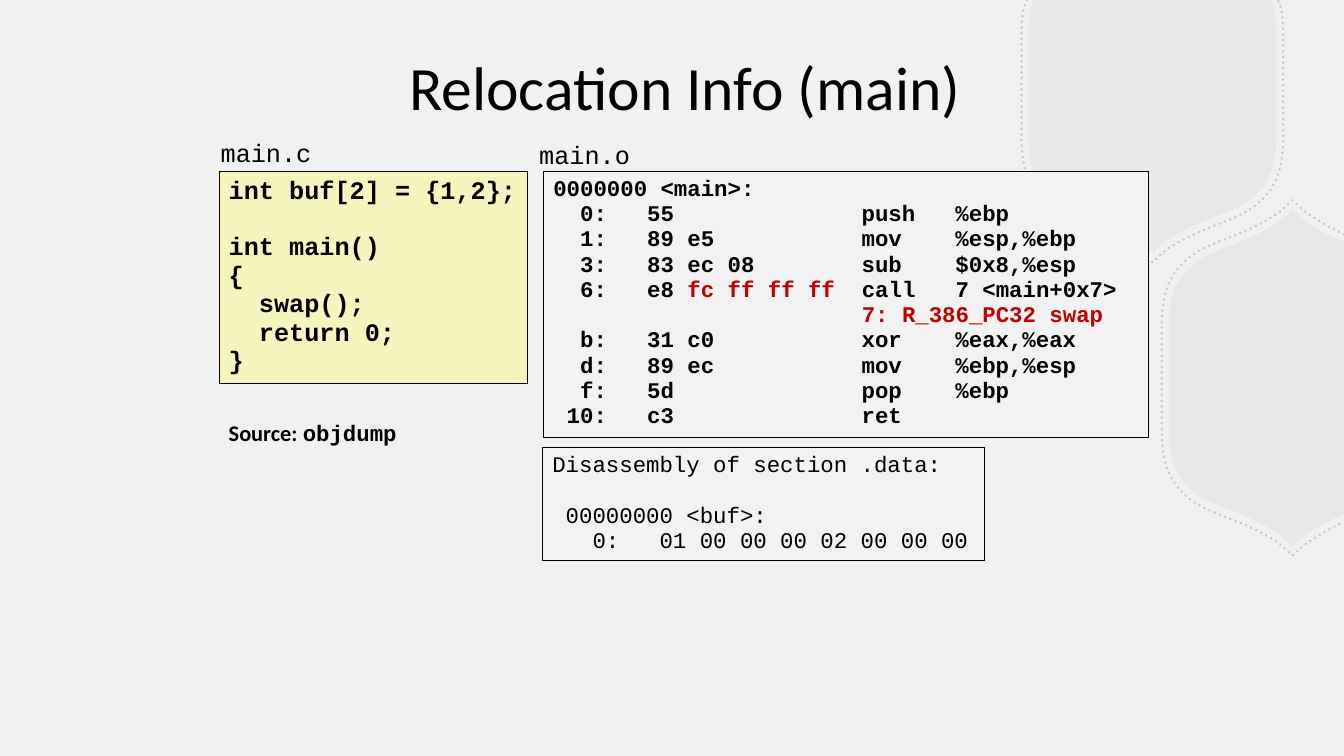
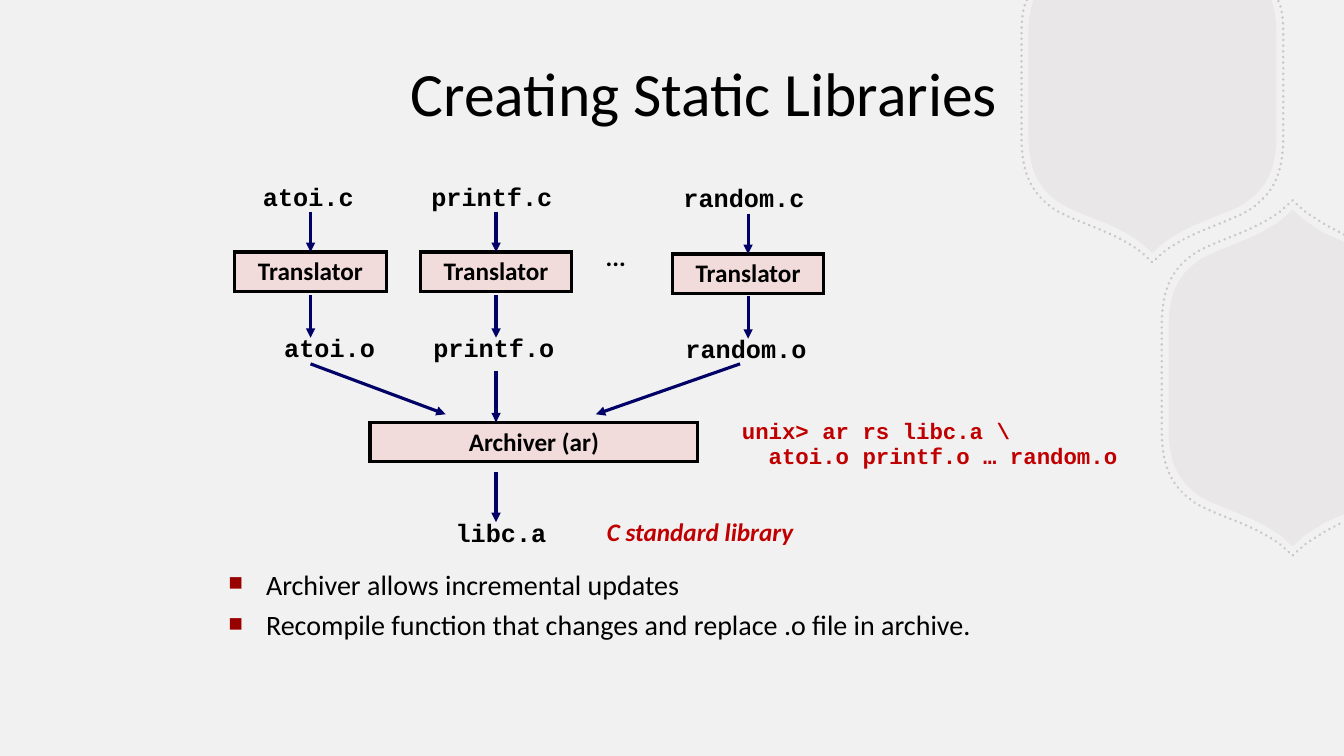
"""Build two slides about object files: relocation info and static libraries."""
from lxml import etree
from pptx import Presentation
from pptx import util as u
from pptx.dml.color import RGBColor
from pptx.enum import dml, shapes, text
from pptx.oxml.ns import qn

COLORS = {
    "background": "F2F1F1", "cell": "B8B2B2", "ink": "000000", "red": "C00000",
    "listing": "F2F2F2", "source": "F6F5BD", "tool": "F2DCDB",
    "arrow": "000066", "bullet": "990000",
}
SLIDE_WIDTH, SLIDE_HEIGHT = 13.33, 7.5
STYLES = {
    "title": {"name": "Calibri", "size": u.Pt(44), "color": "ink"},
    "body": {"name": "Calibri", "size": u.Pt(20), "color": "ink"},
    "label": {"name": "Calibri", "size": u.Pt(18), "bold": True, "color": "ink"},
    "note": {"name": "Calibri", "size": u.Pt(16), "bold": True, "color": "ink"},
    "file": {"name": "Courier New", "size": u.Pt(18), "color": "ink"},
    "code": {"name": "Courier New", "size": u.Pt(18), "bold": True, "color": "ink"},
    "listing": {"name": "Courier New", "size": u.Pt(16), "color": "ink"},
    "assembly": {"name": "Courier New", "size": u.Pt(16), "bold": True, "color": "ink"},
}
RED = {"color": "red"}
CELL_CENTERS = {"upper": (11.43, 0.84), "lower": (12.82, 3.75)}
CELL_TIP = 1.67
CELL_CORNER = [(0, 0), (0.11, -0.1), (0.38, -0.3), (0.68, -0.36), (0.91, -0.49),
               (1.13, -0.64), (1.23, -0.82), (1.23, -1.18)]
CELL_TOP = [(1.23, -2.15), (1.23, -2.28), (1.22, -2.39), (1.18, -2.51)]
CELL_EDGE = [(0.11, -0.1), (0.18, -0.15), (0.25, -0.19), (0.31, -0.23), (0.51, -0.32)]

MAIN_C = ["int buf[2] = {1,2};", " ", "int main()", "{", "  swap();", "  return 0;", "}"]
MAIN_O = [
    "0000000 <main>:",
    "  0:   55              push   %ebp",
    "  1:   89 e5           mov    %esp,%ebp",
    "  3:   83 ec 08        sub    $0x8,%esp",
    [("  6:   e8 ", {}), ("fc ff ff ff  ", RED), ("call   7 <main+0x7>", {})],
    [("                       ", {}), ("7: R_386_PC32 swap", RED)],
    "  b:   31 c0           xor    %eax,%eax",
    "  d:   89 ec           mov    %ebp,%esp",
    "  f:   5d              pop    %ebp",
    " 10:   c3              ret",
]
DATA_SECTION = [
    "Disassembly of section .data:", " ",
    " 00000000 <buf>:",
    "   0:   01 00 00 00 02 00 00 00",
]


def rgb(color):
    """Return the colour stored under a name."""
    return RGBColor.from_string(COLORS[color])


def set_values(target, values):
    """Set each attribute of the target from a dict."""
    for name, value in values.items():
        setattr(target, name, value)


def set_alpha(element, percent):
    """Make the solid colours inside an element partly transparent."""
    for color in element.iter(qn("a:srgbClr")):
        etree.SubElement(color, qn("a:alpha")).set("val", str(percent * 1000))


def cell_outline(place):
    """Return a cell's points around its center, and its line (L) and curve (C) kinds."""
    if place == "upper":
        half, kinds = CELL_CORNER + CELL_TOP, "LCCLC"
        points = [(-x, y) for x, y in half[:0:-1]] + half
        return [(x, CELL_TIP + y) for x, y in points], kinds[::-1] + kinds
    half, kinds = [(-x, y) for x, y in CELL_CORNER[::-1]] + CELL_EDGE, "CCLLCL"
    half = [(x, CELL_TIP + y) for x, y in half]
    return [(x, -y) for x, y in half[::-1]] + half, kinds[::-1] + "L" + kinds


def make_curves(shape, kinds):
    """Join the line segments of a freeform by threes wherever a curve is meant."""
    lines = list(shape.element.iter(qn("a:lnTo")))
    for kind in kinds:
        first = lines.pop(0)
        if kind == "C":
            curve = etree.Element(qn("a:cubicBezTo"))
            first.addprevious(curve)
            for line in (first, lines.pop(0), lines.pop(0)):
                curve.append(line[0])
                line.getparent().remove(line)


def add_cell(slide, place, scale, close):
    """Draw a cell, cut off at the slide edge."""
    points, kinds = cell_outline(place)
    center_x, center_y = CELL_CENTERS[place]
    points = [(u.Inches(min(center_x + scale * x, SLIDE_WIDTH)),
               u.Inches(max(center_y + scale * y, 0))) for x, y in points]
    builder = slide.shapes.build_freeform(*points[0], scale=1.0)
    builder.add_line_segments(points[1:], close=close)
    shape = builder.convert_to_shape()
    shape.shadow.inherit = False
    make_curves(shape, kinds)
    return shape


def add_filled_cell(slide, place):
    """Draw a pale cell."""
    shape = add_cell(slide, place, 1, True)
    shape.fill.solid()
    shape.fill.fore_color.rgb = rgb("cell")
    shape.line.fill.background()
    set_alpha(shape.element.spPr, 15)
    return shape


def add_dotted_cell(slide, place):
    """Draw the dotted line around a cell."""
    shape = add_cell(slide, place, 1.055, False)
    shape.fill.background()
    shape.line.color.rgb = rgb("cell")
    set_values(shape.line, {"width": u.Pt(2), "dash_style": dml.MSO_LINE.ROUND_DOT})
    shape.line._get_or_add_ln().set("cap", "rnd")
    set_alpha(shape.element.spPr, 65)
    return shape


def decorate_layout(presentation, layout, slide):
    """Give the layout its background and cells, drawn by way of a slide."""
    fill = presentation.slide_master.background.fill
    fill.solid()
    fill.fore_color.rgb = rgb("background")
    for draw in (add_dotted_cell, add_filled_cell):
        for place in ("lower", "upper"):
            layout.shapes.element.insert(2, draw(slide, place).element)


def write_text(shape, paragraphs, style, wrap=False, grow=True, **paragraph_format):
    """Fill a shape with paragraphs, each a string or a list of styled runs."""
    frame = shape.text_frame
    set_values(frame, {
        "word_wrap": wrap,
        "auto_size": text.MSO_AUTO_SIZE.SHAPE_TO_FIT_TEXT if grow else text.MSO_AUTO_SIZE.NONE,
        "margin_left": u.Inches(0.1), "margin_right": u.Inches(0.1),
        "margin_top": u.Inches(0.05), "margin_bottom": u.Inches(0.05),
    })
    for index, content in enumerate(paragraphs):
        paragraph = frame.paragraphs[0] if index == 0 else frame.add_paragraph()
        set_values(paragraph, {"alignment": text.PP_ALIGN.LEFT, **paragraph_format})
        for words, changes in [(content, {})] if isinstance(content, str) else content:
            run = paragraph.add_run()
            run.text = words
            font_format = {**STYLES[style], **changes}
            run.font.color.rgb = rgb(font_format.pop("color"))
            set_values(run.font, font_format)


def add_title(slide, words, left, top, spacing):
    """Place and format the slide title."""
    title = slide.shapes.title
    set_values(title, {"left": u.Inches(left), "top": u.Inches(top),
                       "width": u.Inches(9.53), "height": u.Inches(0.86)})
    title.text_frame.vertical_anchor = text.MSO_ANCHOR.MIDDLE
    write_text(title, [words], "title", wrap=True, grow=False,
               alignment=text.PP_ALIGN.CENTER, line_spacing=spacing)


def add_text(slide, box, paragraphs, style, **options):
    """Add a text box."""
    shape = slide.shapes.add_textbox(*map(u.Inches, box))
    write_text(shape, paragraphs, style, **{"line_spacing": 0.94, **options})
    return shape


def add_box(slide, box, paragraphs, style, color, line_width, **options):
    """Add a filled, outlined rectangle with text."""
    shape = slide.shapes.add_shape(shapes.MSO_SHAPE.RECTANGLE, *map(u.Inches, box))
    shape.shadow.inherit = False
    shape.fill.solid()
    shape.fill.fore_color.rgb = rgb(color)
    shape.line.color.rgb = rgb("ink")
    shape.line.width = u.Pt(line_width)
    etree.SubElement(shape.line._get_or_add_ln(), qn("a:miter")).set("lim", "800000")
    shape.text_frame.vertical_anchor = text.MSO_ANCHOR.TOP
    write_text(shape, paragraphs, style, **{"line_spacing": 0.94, **options})
    return shape


def add_tool(slide, box, name):
    """Add a box for a program in the build chain."""
    return add_box(slide, box, [name], "label", "tool", 2.25, wrap=True,
                   alignment=text.PP_ALIGN.CENTER, line_spacing=0.98)


def add_arrow(slide, start, end):
    """Add a straight arrow."""
    arrow = slide.shapes.add_connector(
        shapes.MSO_CONNECTOR.STRAIGHT, *map(u.Inches, (*start, *end)))
    arrow.line.color.rgb = rgb("arrow")
    arrow.line.width = u.Pt(2.25)
    etree.SubElement(arrow.line._get_or_add_ln(), qn("a:tailEnd")).set("type", "triangle")
    etree.SubElement(arrow.element.spPr, qn("a:effectLst"))
    return arrow


def add_bullets(slide, box, items):
    """Add a list with square bullets."""
    shape = add_text(slide, box, items, "body", wrap=True, grow=False, line_spacing=1.0)
    for index, paragraph in enumerate(shape.text_frame.paragraphs):
        paragraph.space_before = u.Pt(5 if index else 0)
        properties = paragraph._p.get_or_add_pPr()
        properties.set("marL", str(u.Inches(0.37)))
        properties.set("indent", str(-u.Inches(0.37)))
        color = etree.SubElement(properties, qn("a:buClr"))
        etree.SubElement(color, qn("a:srgbClr")).set("val", COLORS["bullet"])
        for tag, name, value in [("a:buSzPct", "val", "85000"),
                                 ("a:buFont", "typeface", "Courier New"),
                                 ("a:buChar", "char", "■")]:
            etree.SubElement(properties, qn(tag)).set(name, value)


def add_translation(slide, name, center, source_left, object_left, width, drop):
    """Add one column: source file, translator and object file."""
    add_text(slide, (source_left, 1.77 + drop / 2, width, 0.39), [f"{name}.c"], "code")
    add_text(slide, (object_left, 3.27 + drop / 2, width, 0.39), [f"{name}.o"], "code")
    translator = add_tool(slide, (center - 0.75, 2.5 + drop, 1.5, 0.39), "Translator")
    arrow = add_arrow(slide, (center, 2.1 + drop), (center, 2.5 + drop))
    arrow.end_connect(translator, 0)
    add_arrow(slide, (center, 2.93 + drop / 2), (center, 3.35 + drop / 2))


def fill_relocation(slide):
    """Show a source file beside its disassembled object file."""
    add_title(slide, "Relocation Info (main)", 2.03, 0.49, 0.82)
    add_box(slide, (5.39, 1.7, 6, 2.64), MAIN_O, "assembly", "listing", 0.25)
    add_box(slide, (5.38, 4.44, 4.38, 1.12), DATA_SECTION, "listing", "listing", 0.25)
    add_box(slide, (2.17, 1.7, 3.06, 2.1), MAIN_C, "code", "source", 0.25)
    add_text(slide, (2.17, 4.12, 1.89, 0.37),
             [[("Source: ", {}), ("objdump", {"name": "Courier New"})]],
             "note", line_spacing=0.98)
    for left, top, name in [(2.09, 1.31, "main.c"), (5.25, 1.33, "main.o")]:
        add_text(slide, (left, top, 1.1, 0.4), [name], "file", line_spacing=1.0)


def fill_libraries(slide):
    """Show how object files are archived into a library."""
    add_title(slide, "Creating Static Libraries", 2.22, 0.48, 1.0)
    for column in [("atoi", 3.08, 2.51, 2.72, 1.1, 0),
                   ("printf", 4.92, 4.18, 4.2, 1.4, 0),
                   ("random", 7.42, 6.68, 6.7, 1.4, 0.02)]:
        add_translation(slide, *column)
    add_text(slide, (5.91, 2.36, 0.4, 0.4), ["..."], "label", line_spacing=0.98)
    add_tool(slide, (3.67, 4.19, 3.25, 0.39), "Archiver (ar)")
    for start, end in [((3.08, 3.61), (4.42, 4.11)), ((4.92, 3.68), (4.92, 4.19)),
                       ((7.34, 3.61), (5.91, 4.11)), ((4.92, 4.68), (4.92, 5.18))]:
        add_arrow(slide, start, end)
    add_text(slide, (4.42, 5.11, 1.1, 0.39), ["libc.a"], "code")
    add_text(slide, (7.26, 4.11, 3.98, 0.61),
             [[("unix> ar rs libc.a \\", RED)], [("  atoi.o printf.o … random.o", RED)]],
             "assembly")
    add_text(slide, (5.92, 5.09, 3.25, 0.4),
             [[("C standard library", {"italic": True, **RED})]],
             "label", wrap=True, line_spacing=0.98)
    add_bullets(slide, (2.17, 5.58, 9.09, 1.17),
                ["Archiver allows incremental updates",
                 "Recompile function that changes and replace .o file in archive."])


def main():
    """Build and save the presentation."""
    presentation = Presentation()
    presentation.slide_width = u.Inches(SLIDE_WIDTH)
    presentation.slide_height = u.Inches(SLIDE_HEIGHT)
    layout = presentation.slide_layouts.get_by_name("Title Only")
    relocation, libraries = [presentation.slides.add_slide(layout) for _ in range(2)]
    decorate_layout(presentation, layout, relocation)
    fill_relocation(relocation)
    fill_libraries(libraries)
    presentation.save("out.pptx")


if __name__ == "__main__":
    main()
